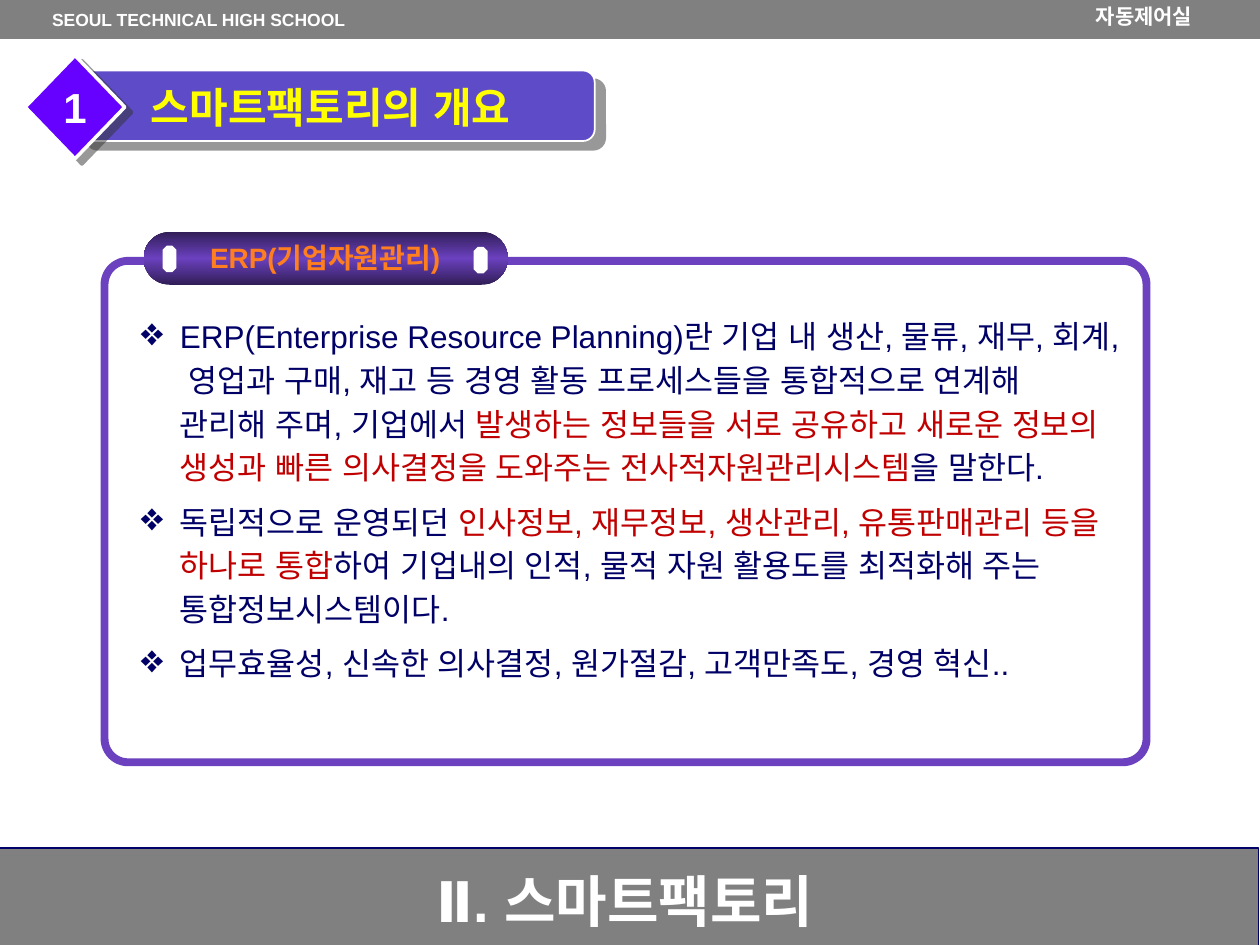
from typing import NamedTuple

import pptx
import pptx.dml.color
import pptx.enum.shapes
import pptx.enum.text
import pptx.oxml
import pptx.oxml.ns
import pptx.util
from lxml import etree

Inches = pptx.util.Inches
Pt = pptx.util.Pt
KIND = pptx.enum.shapes.MSO_SHAPE
ALIGN = pptx.enum.text.PP_ALIGN
ANCHOR = pptx.enum.text.MSO_ANCHOR
qn = pptx.oxml.ns.qn

LATIN, KOREAN = "Arial", "Noto Sans CJK KR"
WHITE, GREY, NAVY, RED = "FFFFFF", "808080", "000066", "C00000"
VIOLET, DARK = "6B41BF", "311E57"


class Box(NamedTuple):
    left: float
    top: float
    width: float
    height: float


class Run(NamedTuple):
    text: str
    color: str = NAVY


POINTS = [
    [
        Run("ERP(Enterprise Resource Planning)란 기업 내 생산, 물류, 재무, 회계, "
            "영업과 구매, 재고 등 경영 활동 프로세스들을 통합적으로 연계해 "
            "관리해 주며, 기업에서 "),
        Run("발생하는 정보들을 서로 공유하고 새로운 정보의 생성과 빠른 "
            "의사결정을 도와주는 전사적자원관리시스템", RED),
        Run("을 말한다."),
    ],
    [
        Run("독립적으로 운영되던 "),
        Run("인사정보, 재무정보, 생산관리, 유통판매관리 등을 하나로 통합", RED),
        Run("하여 기업내의 인적, 물적 자원 활용도를 최적화해 주는 "
            "통합정보시스템이다."),
    ],
    [Run("업무효율성, 신속한 의사결정, 원가절감, 고객만족도, 경영 혁신..")],
]


def rgb(code: str):
    return pptx.dml.color.RGBColor.from_string(code)


def inch(box: Box) -> list:
    return [Inches(side) for side in box]


def draw(slide, kind, box: Box, fill=None, line=None, weight=1.0, adj=None):
    """Add a preset shape; no fill or line colour means none is drawn."""
    shape = slide.shapes.add_shape(kind, *inch(box))
    shape.shadow.inherit = False
    if fill:
        shape.fill.solid()
        shape.fill.fore_color.rgb = rgb(fill)
    else:
        shape.fill.background()
    if line:
        shape.line.color.rgb = rgb(line)
        shape.line.width = Pt(weight)
    else:
        shape.line.fill.background()
    if adj is not None:
        shape.adjustments[0] = adj
    return shape


def cast(shape, dist: float, angle: int) -> None:
    """Give the shape a hard, half-transparent shadow."""
    effects = shape._element.spPr.find(qn("a:effectLst"))
    outer = etree.SubElement(effects, qn("a:outerShdw"), blurRad="0",
                             dist=str(Pt(dist)), dir=str(angle * 60000),
                             algn="ctr", rotWithShape="0")
    color = etree.SubElement(outer, qn("a:srgbClr"), val="333333")
    etree.SubElement(color, qn("a:alpha"), val="50000")


def shade(shape, *colors: str) -> None:
    """Fill from top to bottom with evenly spaced colours."""
    shape.fill.gradient()
    shape.fill.gradient_angle = 270
    grad = shape._element.spPr.find(qn("a:gradFill"))
    stops = grad.find(qn("a:gsLst"))
    for stop in list(stops):
        stops.remove(stop)
    for i, code in enumerate(colors):
        stop = etree.SubElement(stops, qn("a:gs"),
                                pos=str(i * 100000 // (len(colors) - 1)))
        etree.SubElement(stop, qn("a:srgbClr"), val=code)
    grad.find(qn("a:lin")).set("ang", "5400000")


def style(run, size: float, color: str, font=LATIN, asian=KOREAN,
          bold=False) -> None:
    run.font.size = Pt(size)
    run.font.bold = bold
    run.font.color.rgb = rgb(color)
    run.font.name = font
    etree.SubElement(run._r.get_or_add_rPr(), qn("a:ea"), typeface=asian)


def write(shape, text: str, *, size: float, color=WHITE, font=LATIN,
          asian=KOREAN, align=ALIGN.CENTER, anchor=ANCHOR.MIDDLE,
          wrap=True) -> None:
    frame = shape.text_frame
    frame.word_wrap = wrap
    frame.vertical_anchor = anchor
    para = frame.paragraphs[0]
    para.alignment = align
    run = para.add_run()
    run.text = text
    style(run, size, color, font, asian, bold=True)


def label(slide, box: Box, text: str, **form) -> None:
    write(slide.shapes.add_textbox(*inch(box)), text, **form)


def bullet(para) -> None:
    props = para._p.get_or_add_pPr()
    props.set("marL", str(Inches(0.31)))
    props.set("indent", str(-Inches(0.31)))
    etree.SubElement(props, qn("a:buSzPct"), val="125000")
    etree.SubElement(props, qn("a:buChar"), char="❖")


def listing(slide, box: Box, points: list) -> None:
    frame = slide.shapes.add_textbox(*inch(box)).text_frame
    frame.word_wrap = True
    for i, runs in enumerate(points):
        para = frame.add_paragraph() if i else frame.paragraphs[0]
        bullet(para)
        para.line_spacing = Pt(25)
        para.space_after = Pt(6)
        for part in runs:
            run = para.add_run()
            run.text = part.text
            style(run, 18, part.color, asian=LATIN)


def bars(slide) -> None:
    draw(slide, KIND.RECTANGLE, Box(-0.01, 6.73, 10, 0.8), GREY, NAVY, 0.75)
    label(slide, Box(0.92, 6.82, 8.08, 0.64), "Ⅱ. 스마트팩토리", size=32)
    draw(slide, KIND.RECTANGLE, Box(0, -0.02, 10, 0.33), GREY)
    label(slide, Box(0.28, 0.02, 2.59, 0.32), "SEOUL TECHNICAL HIGH SCHOOL",
          size=10, anchor=ANCHOR.TOP)
    label(slide, Box(8.15, -0.03, 1.86, 0.32), "자동제어실", size=12,
          font=KOREAN)


def heading(slide) -> None:
    plate = draw(slide, KIND.ROUNDED_RECTANGLE, Box(0.6, 0.56, 4.12, 0.56),
                 "5D4BC7", WHITE, 1, 0.167)
    cast(plate, 7.8, 40)
    label(slide, Box(1.1, 0.6, 3.36, 0.5), "스마트팩토리의 개요", size=24,
          color="FFFF00", font=KOREAN, asian=LATIN, align=ALIGN.LEFT)
    badge = draw(slide, KIND.DIAMOND, Box(0.2, 0.44, 0.79, 0.82),
                 "6600FF", WHITE, 2)
    cast(badge, 5, 37)
    write(badge, "1", size=24, wrap=False)


def panel(slide) -> None:
    draw(slide, KIND.ROUNDED_RECTANGLE, Box(0.83, 2.07, 8.27, 3.98),
         line=VIOLET, weight=4.5, adj=0.047)
    listing(slide, Box(1.02, 2.42, 7.9, 3.42), POINTS)
    pill = draw(slide, KIND.ROUNDED_RECTANGLE, Box(1.14, 1.84, 2.89, 0.42),
                adj=0.5)
    shade(pill, DARK, VIOLET, DARK)
    label(slide, Box(1.34, 1.86, 2.48, 0.37), "ERP(기업자원관리)", size=16,
          color="FF7E1F", anchor=ANCHOR.TOP)
    for left, top in ((1.29, 1.95), (3.76, 1.96)):
        draw(slide, KIND.OCTAGON, Box(left, top, 0.11, 0.21), WHITE, adj=0.293)


def main() -> None:
    deck = pptx.Presentation()
    deck.slide_width, deck.slide_height = Inches(10), Inches(7.5)
    slide = deck.slides.add_slide(deck.slide_layouts[6])
    bars(slide)
    heading(slide)
    panel(slide)
    deck.save("out.pptx")


if __name__ == "__main__":
    main()
